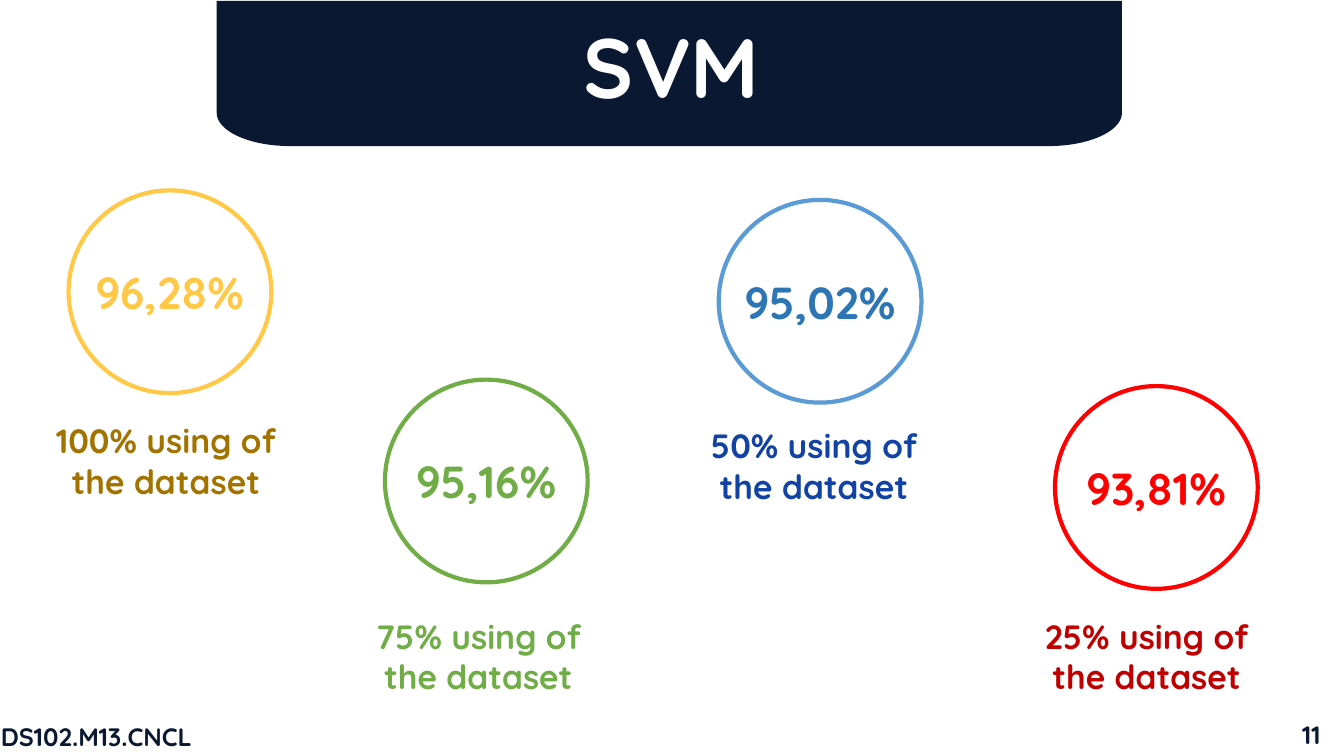
from math import cos, pi, sin

from pptx import Presentation
from pptx.dml.color import RGBColor
from pptx.enum.shapes import MSO_SHAPE
from pptx.enum.text import MSO_ANCHOR, PP_ALIGN
from pptx.util import Pt

OVAL = MSO_SHAPE.OVAL
TOP, MIDDLE = MSO_ANCHOR.TOP, MSO_ANCHOR.MIDDLE
LEFT, CENTER = PP_ALIGN.LEFT, PP_ALIGN.CENTER
FONT = "Quicksand"
NAVY, WHITE = "0A1931", "FFFFFF"
CIRCLE_SIZE = 144.8
CAPTION_WIDTH, CAPTION_HEIGHT = 202.3, 65.5
CORNER_STEPS = 24

RESULTS = [
    ("96,28%", (49, 136), "FFC947", "FFC947",
     "100% using of the dataset", (17.3, 296.6), "A37300"),
    ("95,16%", (275, 271.2), "70AD47", "70AD47",
     "75% using of the dataset", (240.5, 436.3), "70AD47"),
    ("95,02%", (513.4, 142.8), "5B9BD5", "2E75B6",
     "50% using of the dataset", (480.2, 300.2), "1243A4"),
    ("93,81%", (753.6, 275.8), "FF0000", "FF0000",
     "25% using of the dataset", (717.8, 436.3), "C00000"),
]


def rgb(value):
    return RGBColor.from_string(value)


def write(frame, text, size, color, align, anchor):
    frame.text = text
    frame.vertical_anchor = anchor
    paragraph = frame.paragraphs[0]
    paragraph.alignment = align
    font = paragraph.runs[0].font
    font.name = FONT
    font.size = Pt(size)
    font.bold = True
    font.color.rgb = rgb(color)


def add_label(slide, text, left, top, width, height, size, color,
              align=CENTER, anchor=TOP):
    label = slide.shapes.add_textbox(Pt(left), Pt(top), Pt(width), Pt(height))
    label.text_frame.word_wrap = True
    write(label.text_frame, text, size, color, align, anchor)


def add_banner(slide, left, top, right, bottom, radius_x, radius_y):
    angles = [pi / 2 * step / CORNER_STEPS for step in range(CORNER_STEPS + 1)]
    right_corner = [(right - radius_x * (1 - cos(angle)),
                     bottom - radius_y * (1 - sin(angle))) for angle in angles]
    left_corner = [(left + right - x, y) for x, y in reversed(right_corner)]
    outline = [(right, top)] + right_corner + left_corner
    builder = slide.shapes.build_freeform(Pt(left), Pt(top))
    builder.add_line_segments([(Pt(x), Pt(y)) for x, y in outline], close=True)
    banner = builder.convert_to_shape()
    banner.shadow.inherit = False
    banner.fill.solid()
    banner.fill.fore_color.rgb = rgb(NAVY)
    banner.line.fill.background()


def add_score(slide, score, left, top, ring_color, text_color):
    circle = slide.shapes.add_shape(
        OVAL, Pt(left), Pt(top), Pt(CIRCLE_SIZE), Pt(CIRCLE_SIZE))
    circle.shadow.inherit = False
    circle.fill.solid()
    circle.fill.fore_color.rgb = rgb(WHITE)
    circle.line.color.rgb = rgb(ring_color)
    circle.line.width = Pt(3)
    circle.text_frame.word_wrap = False
    write(circle.text_frame, score, 32, text_color, CENTER, MIDDLE)


def main():
    deck = Presentation()
    deck.slide_width, deck.slide_height = Pt(960), Pt(540)
    slide = deck.slides.add_slide(deck.slide_layouts[6])

    add_banner(slide, 154.8, 0.7, 801.4, 104.4, 52.6, 23.8)
    add_label(slide, "SVM", 379.9, 6.5, 200, 79.9, 60, WHITE)
    for score, spot, ring, color, caption, caption_spot, caption_color in RESULTS:
        add_score(slide, score, *spot, ring, color)
        add_label(slide, caption, *caption_spot, CAPTION_WIDTH, CAPTION_HEIGHT,
                  24, caption_color)
    add_label(slide, "DS102.M13.CNCL", -6.5, 511.9, 172.1, 28.8, 18, NAVY,
              LEFT, MIDDLE)
    add_label(slide, "11", 923, 510.5, 36.7, 28.8, 18, NAVY, LEFT, MIDDLE)

    deck.save("out.pptx")


if __name__ == "__main__":
    main()
